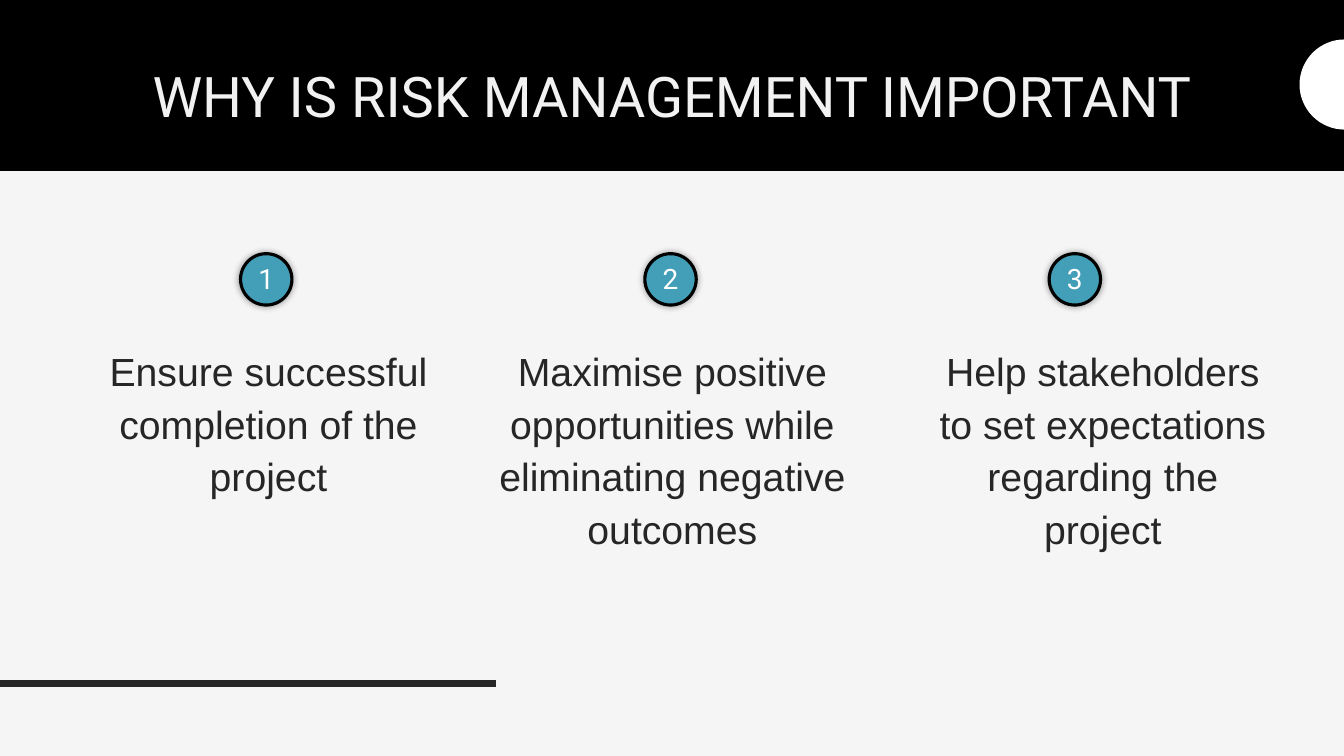
from dataclasses import dataclass
from math import cos, pi, sin

from lxml.etree import SubElement
from pptx import Presentation
from pptx.dml.color import RGBColor
from pptx.enum.shapes import MSO_CONNECTOR, MSO_SHAPE
from pptx.enum.text import MSO_ANCHOR, PP_ALIGN
from pptx.oxml.ns import qn
from pptx.util import Pt


@dataclass(frozen=True)
class Theme:
    paper: str = "F5F5F5"
    black: str = "000000"
    white: str = "FFFFFF"
    ink: str = "262626"
    accent: str = "439EB7"
    heading: str = "F2F2F2"
    heading_font: str = "Roboto"
    body_font: str = "Arial"
    heading_size: int = 40
    body_size: int = 28
    number_size: int = 20


class SlideBuilder:
    def __init__(self, slide, theme):
        self.slide = slide
        self.theme = theme
        slide.background.fill.solid()
        slide.background.fill.fore_color.rgb = RGBColor.from_string(theme.paper)

    def paint(self, shape, fill, line=None, width=1):
        shape.shadow.inherit = False
        shape.fill.solid()
        shape.fill.fore_color.rgb = RGBColor.from_string(fill)
        if line:
            shape.line.color.rgb = RGBColor.from_string(line)
            shape.line.width = Pt(width)
        else:
            shape.line.fill.background()

    def shape(self, kind, box, fill, line, width):
        shape = self.slide.shapes.add_shape(kind, *map(Pt, box))
        self.paint(shape, fill, line, width)
        return shape

    def glow(self, shape, blur, opacity):
        effects = shape._element.spPr.find(qn("a:effectLst"))
        shadow = SubElement(effects, qn("a:outerShdw"), blurRad=str(Pt(blur)), dist="0", dir="0")
        color = SubElement(shadow, qn("a:srgbClr"), val=self.theme.black)
        SubElement(color, qn("a:alpha"), val=str(opacity * 1000))

    def half_disc(self, right, middle, radius, fill, steps=32):
        angles = [pi / 2 + pi * step / steps for step in range(steps + 1)]
        rim = [(Pt(right + radius * cos(a)), Pt(middle - radius * sin(a))) for a in angles]
        outline = self.slide.shapes.build_freeform(*rim[0])
        outline.add_line_segments(rim[1:], close=True)
        self.paint(outline.convert_to_shape(), fill)

    def rule(self, start, end, color, width):
        rule = self.slide.shapes.add_connector(MSO_CONNECTOR.STRAIGHT, *map(Pt, start + end))
        rule.line.color.rgb = RGBColor.from_string(color)
        rule.line.width = Pt(width)
        SubElement(rule._element.spPr, qn("a:effectLst"))

    def text(self, words, box, color, font, size, spacing=1.0, anchor=MSO_ANCHOR.TOP):
        frame = self.slide.shapes.add_textbox(*map(Pt, box)).text_frame
        paragraph = frame.paragraphs[0]
        paragraph.text = words
        formats = (
            (frame, {"word_wrap": True, "vertical_anchor": anchor}),
            (paragraph, {"alignment": PP_ALIGN.CENTER, "line_spacing": spacing}),
            (paragraph.runs[0].font, {"name": font, "size": Pt(size)}),
        )
        for target, values in formats:
            for name, value in values.items():
                setattr(target, name, value)
        paragraph.runs[0].font.color.rgb = RGBColor.from_string(color)


def main():
    deck = Presentation()
    deck.slide_width, deck.slide_height = Pt(960), Pt(540)
    theme = Theme()
    page = SlideBuilder(deck.slides.add_slide(deck.slide_layouts[6]), theme)

    page.rule((0, 488.2), (354.2, 488.2), theme.ink, 4.5)
    page.shape(MSO_SHAPE.RECTANGLE, (0, 0, 960, 121.7), theme.black, theme.black, 1)
    page.half_disc(960.5, 60.4, 32.2, theme.white)
    page.text("WHY IS RISK MANAGEMENT IMPORTANT", (60, 31.7, 840, 79.2), theme.heading,
              theme.heading_font, theme.heading_size, 0.9, MSO_ANCHOR.MIDDLE)

    reasons = (
        ("Ensure successful completion of the project", 60, 263.5, 180.7),
        ("Maximise positive opportunities while eliminating negative outcomes", 348.5, 263.5, 99.4),
        ("Help stakeholders to set expectations regarding the project", 655.2, 265, 180.7),
    )
    for index, (reason, left, width, height) in enumerate(reasons):
        page.text(reason, (left, 240.5, width, height), theme.ink,
                  theme.body_font, theme.body_size, 1.12)
        badge_left = 171.8 + 288.8 * index
        badge = page.shape(MSO_SHAPE.OVAL, (badge_left, 181.2, 36.7, 36.7),
                           theme.accent, theme.black, 2.25)
        page.glow(badge, 5, 40)
        page.text(str(index + 1), (badge_left + 5.3, 183.6, 26, 31.7), theme.white,
                  theme.heading_font, theme.number_size)

    deck.save("out.pptx")


if __name__ == "__main__":
    main()
